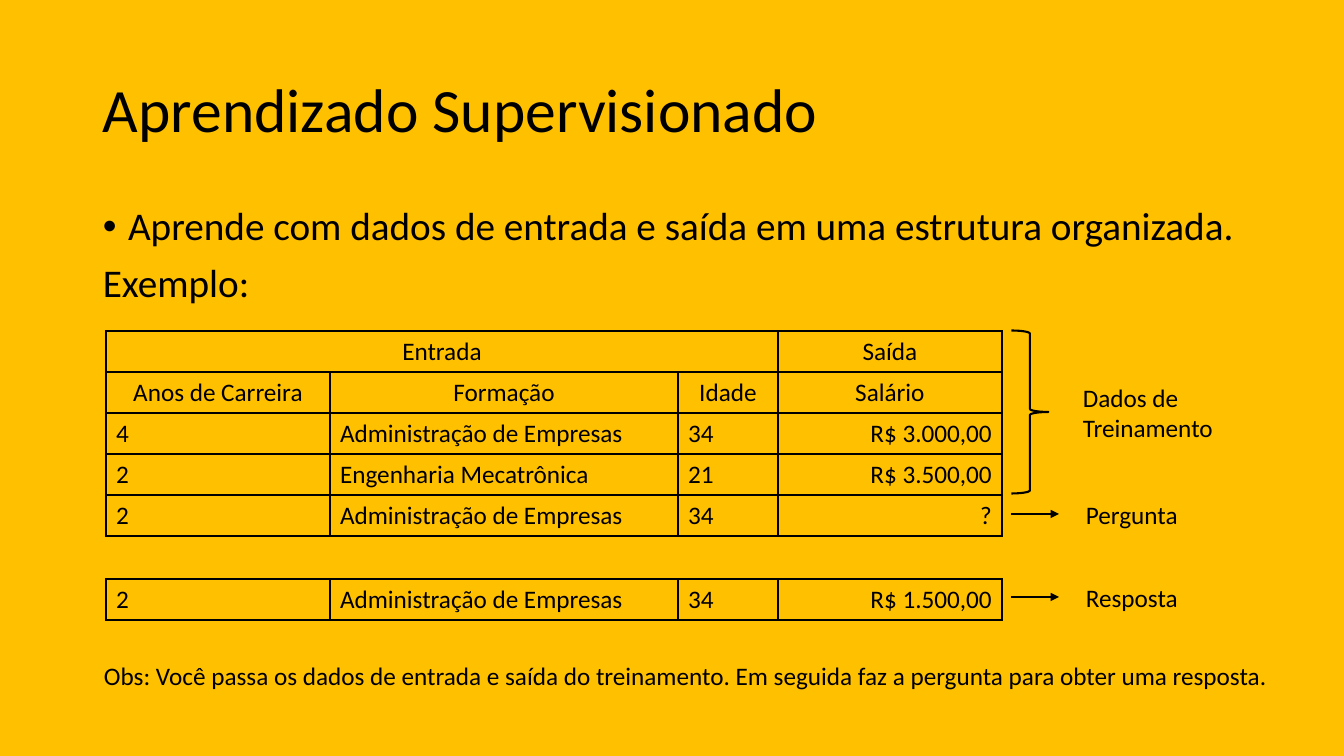
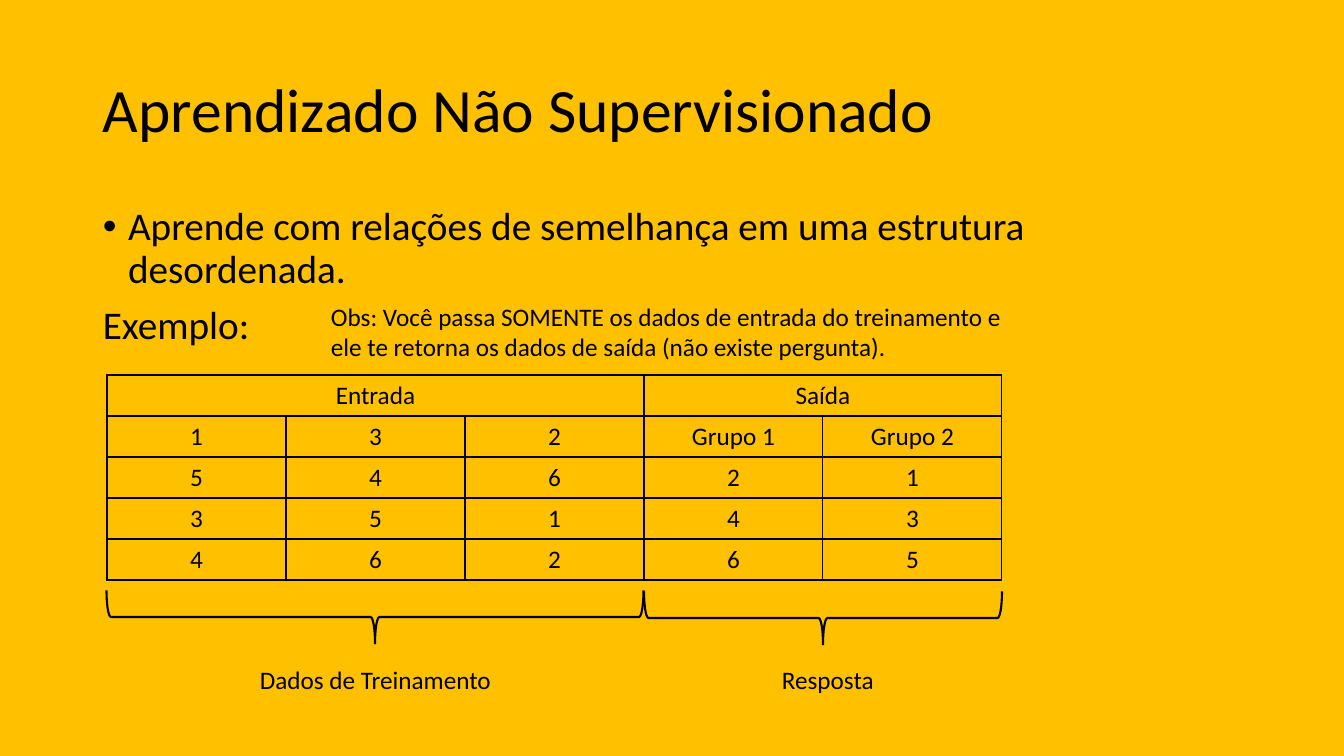
from lxml.etree import SubElement
from pptx import Presentation
from pptx.dml.color import RGBColor
from pptx.enum.shapes import MSO_CONNECTOR, MSO_SHAPE
from pptx.enum.text import MSO_ANCHOR, PP_ALIGN
from pptx.oxml import parse_xml
from pptx.oxml.ns import nsdecls, qn
from pptx.util import Pt

EMU_PER_PX = 914400 / 100.8
COLORS = {"background": "FFC000", "ink": "000000"}
INK = RGBColor.from_string(COLORS["ink"])
FONT = "Calibri"
LEFT, CENTER, RIGHT = PP_ALIGN.LEFT, PP_ALIGN.CENTER, PP_ALIGN.RIGHT
ROW_HEIGHT = 41


def add_text(page, frame, lines, size=18, anchor=MSO_ANCHOR.TOP, line_spacing=None, space_before=None):
    box = page.shapes.add_textbox(*[round(n * EMU_PER_PX) for n in frame])
    box.text_frame.word_wrap = True
    box.text_frame.vertical_anchor = anchor
    box.text_frame.text = "\n".join(lines)
    for para in box.text_frame.paragraphs:
        para.font.size, para.font.name = Pt(size), FONT
        para.font.color.rgb = INK
        para.line_spacing = line_spacing
        para.space_before = space_before
    return box


def add_grid(page, left, top, widths, rows, header_rows, alignments):
    """Add a ruled table; a None cell joins the cell on its left."""
    frame = left, top, sum(widths), ROW_HEIGHT * len(rows)
    table = page.shapes.add_table(len(rows), len(widths), *[round(n * EMU_PER_PX) for n in frame]).table
    table.first_row = table.horz_banding = False
    for column, width in zip(table.columns, widths):
        column.width = round(width * EMU_PER_PX)
    for r, row in enumerate(rows):
        table.rows[r].height = round(ROW_HEIGHT * EMU_PER_PX)
        for c, text in enumerate(row):
            cell = table.cell(r, c)
            cell.fill.background()
            for index, side in enumerate(("lnL", "lnR", "lnT", "lnB")):
                border = parse_xml(
                    f'<a:{side} {nsdecls("a")} w="12700"><a:solidFill>'
                    f'<a:srgbClr val="{COLORS["ink"]}"/></a:solidFill></a:{side}>')
                cell._tc.get_or_add_tcPr().insert(index, border)
            if text is None:
                continue
            end = c
            while end + 1 < len(row) and row[end + 1] is None:
                end += 1
            if end > c:
                cell.merge(table.cell(r, end))
            cell.text = text
            para = cell.text_frame.paragraphs[0]
            para.alignment = CENTER if r < header_rows else alignments[c]
            para.font.size, para.font.name = Pt(18), FONT
            para.font.color.rgb = INK


deck = Presentation()
deck.slide_width, deck.slide_height = round(1344 * EMU_PER_PX), round(756 * EMU_PER_PX)

# Background, title and body of both slides
topics = [
    ("Aprendizado Supervisionado",
     "Aprende com dados de entrada e saída em uma estrutura organizada."),
    ("Aprendizado Não Supervisionado",
     "Aprende com relações de semelhança em uma estrutura desordenada."),
]
pages = []
for title, summary in topics:
    page = deck.slides.add_slide(deck.slide_layouts[6])
    page.background.fill.solid()
    page.background.fill.fore_color.rgb = RGBColor.from_string(COLORS["background"])
    add_text(page, (93, 40, 1159, 146), [title], 44, MSO_ANCHOR.MIDDLE, 0.9)
    body = add_text(page, (93, 202, 1159, 480), [summary, "Exemplo:"], 28,
                    line_spacing=0.9, space_before=Pt(10))
    bullet = body.text_frame.paragraphs[0]._p.get_or_add_pPr()
    bullet.set("marL", "228600")
    bullet.set("indent", "-228600")
    bullet_font = parse_xml(f'<a:buFont {nsdecls("a")} typeface="Arial"/>')
    bullet_mark = parse_xml(f'<a:buChar {nsdecls("a")} char="•"/>')
    default_run = bullet.find(qn("a:defRPr"))
    default_run.addprevious(bullet_font)
    default_run.addprevious(bullet_mark)
    pages.append(page)
supervised, unsupervised = pages

# Supervised: training data with the question, then the answer
widths = [224, 348, 100, 224]
alignments = [LEFT, LEFT, LEFT, RIGHT]
add_grid(supervised, 106, 331, widths, [
    ["Entrada", None, None, "Saída"],
    ["Anos de Carreira", "Formação", "Idade", "Salário"],
    ["4", "Administração de Empresas", "34", "R$ 3.000,00"],
    ["2", "Engenharia Mecatrônica", "21", "R$ 3.500,00"],
    ["2", "Administração de Empresas", "34", "?"],
], 2, alignments)
add_grid(supervised, 106, 579, widths,
         [["2", "Administração de Empresas", "34", "R$ 1.500,00"]], 0, alignments)

# Supervised: labels and arrows
add_text(supervised, (1073, 377, 187, 71), ["Dados de Treinamento"])
for label, middle in [("Pergunta", 514), ("Resposta", 597)]:
    arrow = supervised.shapes.add_connector(
        MSO_CONNECTOR.STRAIGHT, *[round(n * EMU_PER_PX) for n in (1011, middle, 1059, middle)])
    arrow.line.color.rgb = INK
    arrow.line.width = Pt(1.5)
    SubElement(arrow.line._get_or_add_ln(), qn("a:tailEnd"), type="triangle")
    SubElement(arrow._element.spPr, qn("a:effectLst"))
    add_text(supervised, (1076, middle - 20, 187, 40), [label])
add_text(supervised, (94, 655, 1192, 40), [
    "Obs: Você passa os dados de entrada e saída do treinamento. "
    "Em seguida faz a pergunta para obter uma resposta."])

# Unsupervised: inputs, groups and labels
add_grid(unsupervised, 107, 375, [179] * 5, [
    ["Entrada", None, None, "Saída", None],
    ["1", "3", "2", "Grupo 1", "Grupo 2"],
    ["5", "4", "6", "2", "1"],
    ["3", "5", "1", "4", "3"],
    ["4", "6", "2", "6", "5"],
], 5, [CENTER] * 5)
add_text(unsupervised, (250, 659, 252, 40), ["Dados de Treinamento"])
add_text(unsupervised, (772, 659, 252, 40), ["Resposta"])
add_text(unsupervised, (321, 296, 724, 71), [
    "Obs: Você passa SOMENTE os dados de entrada do treinamento e "
    "ele te retorna os dados de saída (não existe pergunta)."])

# Braces: page, centre x, centre y, depth, span, rotation
braces = [
    (supervised, 1030, 412, 37, 163, 0),
    (unsupervised, 375, 617, 53, 3 * 179, 90),
    (unsupervised, 823, 618, 53, 2 * 179, 90),
]
for page, x, y, depth, span, rotation in braces:
    frame = x - depth / 2, y - span / 2, depth, span
    brace = page.shapes.add_shape(MSO_SHAPE.RIGHT_BRACE, *[round(n * EMU_PER_PX) for n in frame])
    brace.rotation = rotation
    brace.shadow.inherit = False
    brace.fill.background()
    brace.line.color.rgb = INK
    brace.line.width = Pt(1.5)

deck.save("out.pptx")
